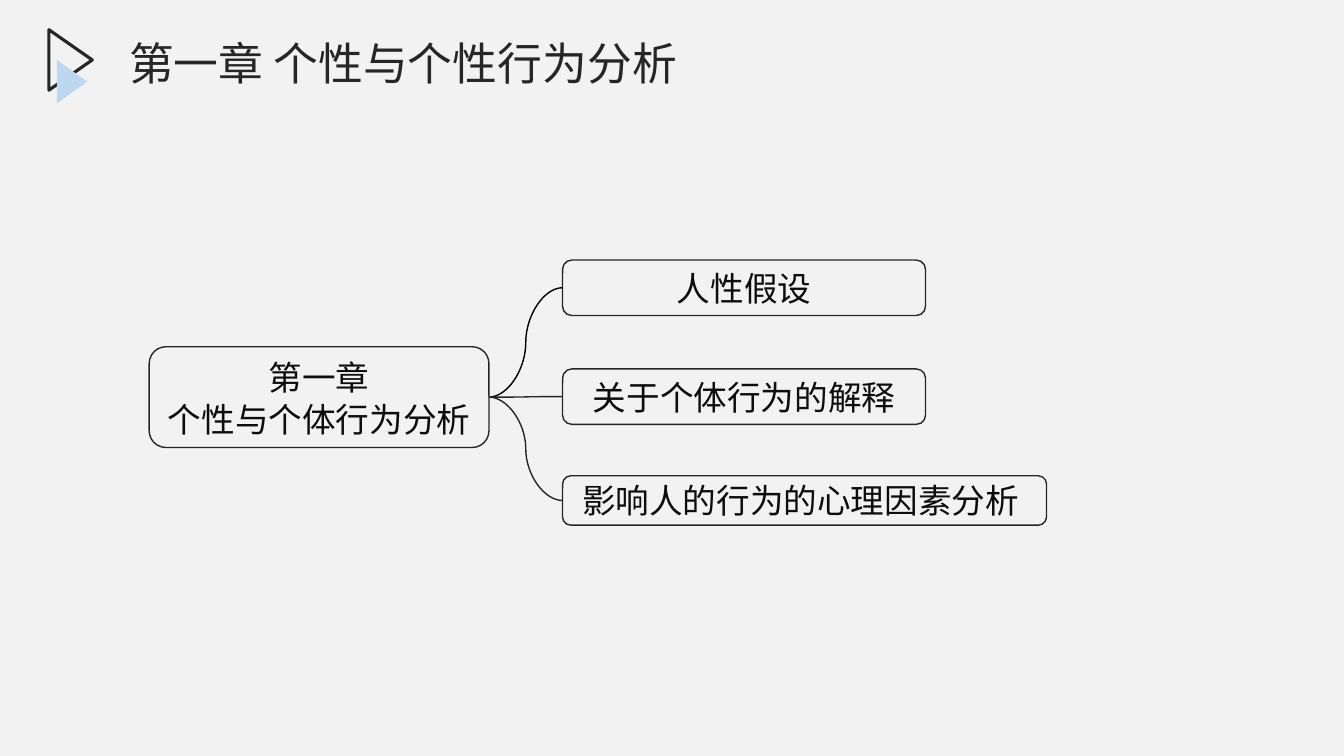
from pptx import Presentation
from pptx.dml.color import RGBColor
from pptx.enum.shapes import MSO_CONNECTOR, MSO_SHAPE
from pptx.enum.text import MSO_ANCHOR, MSO_AUTO_SIZE, PP_ALIGN
from pptx.oxml.ns import qn
from pptx.util import Pt
from lxml import etree

PX = 9144
FONT = "Noto Sans CJK SC"
PAPER = RGBColor(0xF2, 0xF2, 0xF2)
INK = RGBColor(0x26, 0x26, 0x26)
TEXT = RGBColor(0x0D, 0x0D, 0x0D)
BLACK = RGBColor(0x00, 0x00, 0x00)
SKY = RGBColor(0xBD, 0xD7, 0xEE)

TRIANGLE = MSO_SHAPE.ISOSCELES_TRIANGLE
ROUNDED = MSO_SHAPE.ROUNDED_RECTANGLE
CURVE = MSO_CONNECTOR.CURVE
LEFT, CENTER = PP_ALIGN.LEFT, PP_ALIGN.CENTER
TOP, MIDDLE = MSO_ANCHOR.TOP, MSO_ANCHOR.MIDDLE
NO_AUTOFIT = MSO_AUTO_SIZE.NONE
LEFT_SIDE, RIGHT_SIDE = 1, 3

TITLE = "第一章 个性与个性行为分析"
ROOT_LINES = ["第一章", "个性与个体行为分析"]
BRANCHES = [
    ("人性假设", (410, 0, 360, 55), BLACK, CENTER),
    ("关于个体行为的解释", (410, 108, 360, 55), INK, CENTER),
    ("影响人的行为的心理因素分析", (410, 214, 480, 49), INK, LEFT),
]


def emu(*lengths):
    return [length * PX for length in lengths]


def style_paragraph(para, size, color, align):
    para.alignment = align
    para.font.size = Pt(size)
    para.font.color.rgb = color
    para.font.name = FONT
    defaults = para._p.get_or_add_pPr().get_or_add_defRPr()
    etree.SubElement(defaults, qn("a:ea")).set("typeface", FONT)


def add_outline(page, kind, box, line_color, line_width):
    shape = page.shapes.add_shape(kind, *emu(*box))
    shape.shadow.inherit = False
    shape.fill.background()
    shape.line.color.rgb = line_color
    shape.line.width = Pt(line_width)
    return shape


def add_node(page, box, lines, align):
    node = add_outline(page, ROUNDED, box, INK, 1)
    frame = node.text_frame
    frame.word_wrap = True
    frame.vertical_anchor = MIDDLE
    frame.text = "\n".join(lines)
    for para in frame.paragraphs:
        style_paragraph(para, 24, TEXT, align)
    return node


def add_header(page, left, top):
    hollow = add_outline(page, TRIANGLE, (left, top + 8, 60, 43), INK, 2.25)
    solid = page.shapes.add_shape(TRIANGLE, *emu(left + 10, top + 36, 43, 30))
    solid.shadow.inherit = False
    solid.fill.solid()
    solid.fill.fore_color.rgb = SKY
    solid.line.fill.background()
    for marker in (hollow, solid):
        marker.rotation = 90

    title = page.shapes.title
    title.left, title.top, title.width, title.height = emu(left + 78, top, 763, 89)
    frame = title.text_frame
    frame.text = TITLE
    frame.word_wrap = True
    frame.auto_size = NO_AUTOFIT
    frame.vertical_anchor = TOP
    style_paragraph(frame.paragraphs[0], 32, INK, LEFT)


def add_link(page, root, branch, color):
    link = page.shapes.add_connector(CURVE, 0, 0, 0, 0)
    link.begin_connect(root, RIGHT_SIDE)
    link.end_connect(branch, LEFT_SIDE)
    link.line.color.rgb = color
    link.line.width = Pt(1)
    etree.SubElement(link._element.spPr, qn("a:effectLst"))


def add_mind_map(page, left, top):
    root = add_node(page, (left, top + 86, 337, 100), ROOT_LINES, CENTER)
    for para in root.text_frame.paragraphs:
        para.line_spacing = Pt(30)

    for label, (x, y, width, height), color, align in BRANCHES:
        branch = add_node(page, (left + x, top + y, width, height), [label], align)
        if align == LEFT:
            branch.text_frame.margin_left = 17 * PX
        add_link(page, root, branch, color)


def main():
    deck = Presentation()
    deck.slide_width, deck.slide_height = emu(1333, 750)
    page = deck.slides.add_slide(deck.slide_layouts[5])
    page.background.fill.solid()
    page.background.fill.fore_color.rgb = PAPER
    add_header(page, 40, 30)
    add_mind_map(page, 148, 258)
    deck.save("out.pptx")


if __name__ == "__main__":
    main()
